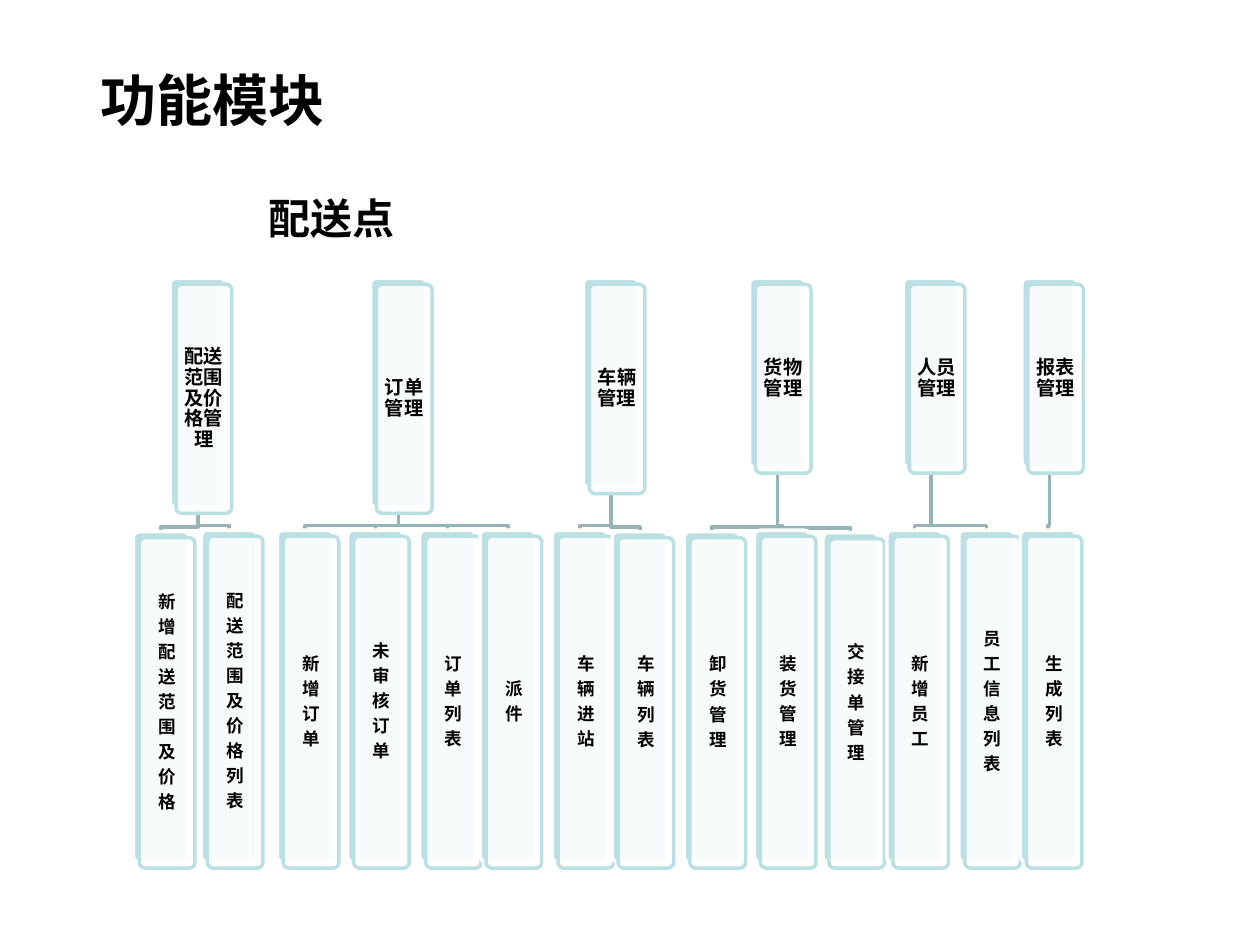
import pptx
import pptx.dml.color
import pptx.enum.shapes
import pptx.enum.text
import pptx.oxml.ns
import pptx.util
import lxml.etree

Cm = pptx.util.Cm
Pt = pptx.util.Pt
COLORS = {"text": "000000", "accent": "BBE0E3", "card": "FFFFFF", "link": "96B3B6"}
FONT = "Arial"

# Card geometry in centimetres
CARD_WIDTH = 1.12
CARD_OFFSET = 0.12
MODULE_TOP = 5.61
LEAF_BOTTOM = 17.38
BEND_GAP = 0.1

# Module name, left, height, then its functions as (name, left, top)
MODULES = [
    ("配送范围及价格管理", 3.43, 4.62, [
        ("新增配送范围及价格", 2.69, 10.72), ("配送范围及价格列表", 4.06, 10.69)]),
    ("订单管理", 7.47, 4.62, [
        ("新增订单", 5.59, 10.69), ("未审核订单", 7.01, 10.69),
        ("订单列表", 8.46, 10.69), ("派件", 9.68, 10.69)]),
    ("车辆管理", 11.76, 4.22, [
        ("车辆进站", 11.13, 10.69), ("车辆列表", 12.34, 10.72)]),
    ("货物管理", 15.11, 3.81, [
        ("卸货管理", 13.79, 10.72), ("装货管理", 15.21, 10.69),
        ("交接单管理", 16.59, 10.74)]),
    ("人员管理", 18.21, 3.81, [
        ("新增员工", 17.88, 10.69), ("员工信息列表", 19.33, 10.69)]),
    ("报表管理", 20.6, 3.81, [("生成列表", 20.57, 10.69)]),
]


def set_font(paragraph, size):
    paragraph.font.name = FONT
    paragraph.font.size = Pt(size)
    paragraph.font.bold = True
    paragraph.font.color.rgb = pptx.dml.color.RGBColor.from_string(COLORS["text"])


def add_card(shapes, left, top, height, lines, size):
    layers = [(0, "accent", "card"), (CARD_OFFSET, "card", "accent")]
    for offset, fill, line in layers:
        shape = shapes.add_shape(
            pptx.enum.shapes.MSO_SHAPE.ROUNDED_RECTANGLE,
            Cm(left + offset), Cm(top + offset), Cm(CARD_WIDTH), Cm(height))
        shape.adjustments[0] = 0.1
        shape.shadow.inherit = False
        shape.fill.solid()
        shape.fill.fore_color.rgb = pptx.dml.color.RGBColor.from_string(COLORS[fill])
        shape.line.color.rgb = pptx.dml.color.RGBColor.from_string(COLORS[line])
        shape.line.width = Pt(2)

    # The front layer is slightly transparent and carries the text
    color = shape.fill._xPr.find(".//" + pptx.oxml.ns.qn("a:srgbClr"))
    lxml.etree.SubElement(color, pptx.oxml.ns.qn("a:alpha"), val="90000")
    frame = shape.text_frame
    frame.word_wrap = True
    frame.vertical_anchor = pptx.enum.text.MSO_ANCHOR.MIDDLE
    frame.margin_left = frame.margin_right = Cm(0.1)
    frame.margin_top = frame.margin_bottom = Cm(0.1)
    frame.text = "\n".join(lines)
    for paragraph in frame.paragraphs:
        paragraph.alignment = pptx.enum.text.PP_ALIGN.CENTER
        paragraph.line_spacing = 0.9
        paragraph.space_after = Pt(0.35 * size)
        set_font(paragraph, size)


presentation = pptx.Presentation()
presentation.slide_width = Cm(25.4)
presentation.slide_height = Cm(19.05)
slide = presentation.slides.add_slide(presentation.slide_layouts[6])

# Headings
for text, left, top, width, height, size in [
        ("配送点", 5.16, 3.76, 3.1, 1.27, 24),
        ("功能模块", 1.78, 1.19, 5.08, 1.63, 32)]:
    heading = slide.shapes.add_textbox(Cm(left), Cm(top), Cm(width), Cm(height))
    heading.text_frame.word_wrap = False
    heading.text_frame.auto_size = pptx.enum.text.MSO_AUTO_SIZE.SHAPE_TO_FIT_TEXT
    heading.text_frame.text = text
    set_font(heading.text_frame.paragraphs[0], size)

diagram = slide.shapes.add_group_shape().shapes

# Branches from each module down to its functions
for name, left, height, functions in MODULES:
    start_x = Cm(left + CARD_WIDTH / 2)
    start_y = Cm(MODULE_TOP + height)
    for label, leaf_left, leaf_top in functions:
        end_x = Cm(leaf_left + CARD_WIDTH / 2)
        bend_y = Cm(leaf_top - BEND_GAP)
        builder = diagram.build_freeform(start_x, start_y)
        builder.add_line_segments(
            [(start_x, bend_y), (end_x, bend_y), (end_x, Cm(leaf_top))], close=False)
        branch = builder.convert_to_shape()
        branch.shadow.inherit = False
        branch.fill.background()
        branch.line.color.rgb = pptx.dml.color.RGBColor.from_string(COLORS["link"])
        branch.line.width = Pt(2)

# Module cards, and function cards with one character per line
for name, left, height, functions in MODULES:
    add_card(diagram, left, MODULE_TOP, height, [name], 11)
    for label, leaf_left, leaf_top in functions:
        add_card(diagram, leaf_left, leaf_top, LEAF_BOTTOM - leaf_top, label, 10)

presentation.save("out.pptx")
